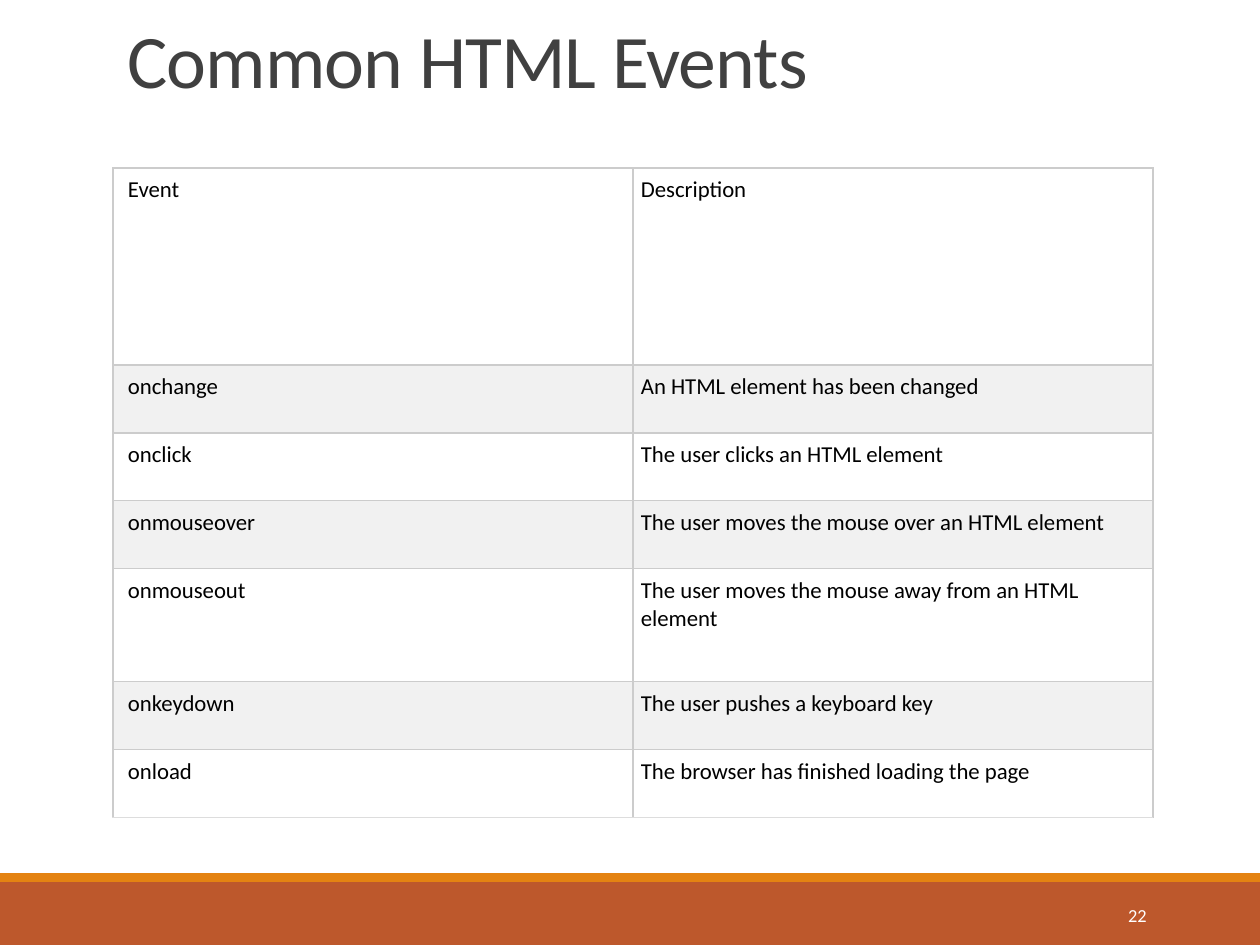
from dataclasses import dataclass

from lxml import etree
from pptx import Presentation
from pptx import util as u
from pptx.dml.color import RGBColor
from pptx.enum import shapes, text
from pptx.oxml.ns import qn

TITLE = "Common HTML Events"
PAGE_NUMBER = "22"
EVENTS = [
    ("Event", "Description"),
    ("onchange", "An HTML element has been changed"),
    ("onclick", "The user clicks an HTML element"),
    ("onmouseover", "The user moves the mouse over an HTML element"),
    ("onmouseout", "The user moves the mouse away from an HTML element"),
    ("onkeydown", "The user pushes a keyboard key"),
    ("onload", "The browser has finished loading the page"),
]
ROW_HEIGHTS = [197, 68, 68, 68, 113, 68, 68]
COLUMN_WIDTH = 520
CELL_INSETS = [15, 8]


@dataclass(frozen=True)
class Theme:
    font: str = "Calibri"
    title: str = "404040"
    body: str = "000000"
    light: str = "FFFFFF"
    band: str = "F1F1F1"
    border: str = "CCCCCC"
    bottom_border: str = "DDDDDD"
    footer: str = "BD582C"
    accent: str = "E48312"
    title_size: float = 43.2
    body_size: float = 13
    number_size: float = 10.5


THEME = Theme()
BARS = [(882, 63, THEME.footer), (873, 9, THEME.accent)]


def px(length):
    return u.Emu(round(length * 914400 / 126))


def write(frame, content, *, size, color, align=text.PP_ALIGN.LEFT,
          line_spacing=None, tracking=None):
    frame.word_wrap = True
    paragraph = frame.paragraphs[0]
    paragraph.alignment = align
    paragraph.line_spacing = line_spacing
    run = paragraph.add_run()
    run.text = content
    run.font.name = THEME.font
    run.font.size = u.Pt(size)
    run.font.bold = False
    run.font.color.rgb = RGBColor.from_string(color)
    if tracking is not None:
        run.font._element.set("spc", str(round(tracking * 100)))


def add_bar(slide, top, height, color):
    shape = slide.shapes.add_shape(
        shapes.MSO_SHAPE.RECTANGLE, 0, px(top), px(1260), px(height))
    shape.shadow.inherit = False
    shape.fill.solid()
    shape.fill.fore_color.rgb = RGBColor.from_string(color)
    shape.line.fill.background()


def set_borders(cell, bottom):
    properties = cell._tc.get_or_add_tcPr()
    sides = {"lnL": THEME.border, "lnR": THEME.border,
             "lnT": THEME.border, "lnB": bottom}
    for position, (side, color) in enumerate(sides.items()):
        line = etree.Element(qn(f"a:{side}"), w=str(u.Pt(0.75)))
        fill = etree.SubElement(line, qn("a:solidFill"))
        etree.SubElement(fill, qn("a:srgbClr"), val=color)
        properties.insert(position, line)


def add_title(slide):
    title = slide.shapes.title
    title.left, title.top, title.width, title.height = map(px, (115, 26, 1039, 78))
    frame = title.text_frame
    frame.auto_size = text.MSO_AUTO_SIZE.NONE
    frame.vertical_anchor = text.MSO_ANCHOR.BOTTOM
    frame.margin_top = frame.margin_bottom = 0
    write(frame, TITLE, size=THEME.title_size, color=THEME.title,
          line_spacing=0.85, tracking=-0.5)


def add_events_table(slide):
    table = slide.shapes.add_table(
        len(EVENTS), len(CELL_INSETS), px(113), px(168),
        px(COLUMN_WIDTH * len(CELL_INSETS)), px(sum(ROW_HEIGHTS))).table
    table.first_row = table.horz_banding = False
    for column in table.columns:
        column.width = px(COLUMN_WIDTH)
    for row_index, (entries, height) in enumerate(zip(EVENTS, ROW_HEIGHTS)):
        table.rows[row_index].height = px(height)
        last = row_index == len(EVENTS) - 1
        for column_index, (content, inset) in enumerate(zip(entries, CELL_INSETS)):
            cell = table.cell(row_index, column_index)
            cell.margin_left = px(inset)
            cell.margin_right = cell.margin_top = cell.margin_bottom = px(8)
            cell.fill.solid()
            cell.fill.fore_color.rgb = RGBColor.from_string(
                THEME.band if row_index % 2 else THEME.light)
            set_borders(cell, THEME.bottom_border if last else THEME.border)
            write(cell.text_frame, content, size=THEME.body_size, color=THEME.body)


def add_page_number(slide):
    box = slide.shapes.add_textbox(px(1023), px(890), px(136), px(50))
    box.text_frame.vertical_anchor = text.MSO_ANCHOR.MIDDLE
    write(box.text_frame, PAGE_NUMBER, size=THEME.number_size,
          color=THEME.light, align=text.PP_ALIGN.RIGHT)


def main():
    presentation = Presentation()
    presentation.slide_width, presentation.slide_height = px(1260), px(945)
    slide = presentation.slides.add_slide(presentation.slide_layouts[5])
    for bar in BARS:
        add_bar(slide, *bar)
    add_title(slide)
    add_events_table(slide)
    add_page_number(slide)
    presentation.save("out.pptx")


if __name__ == "__main__":
    main()
